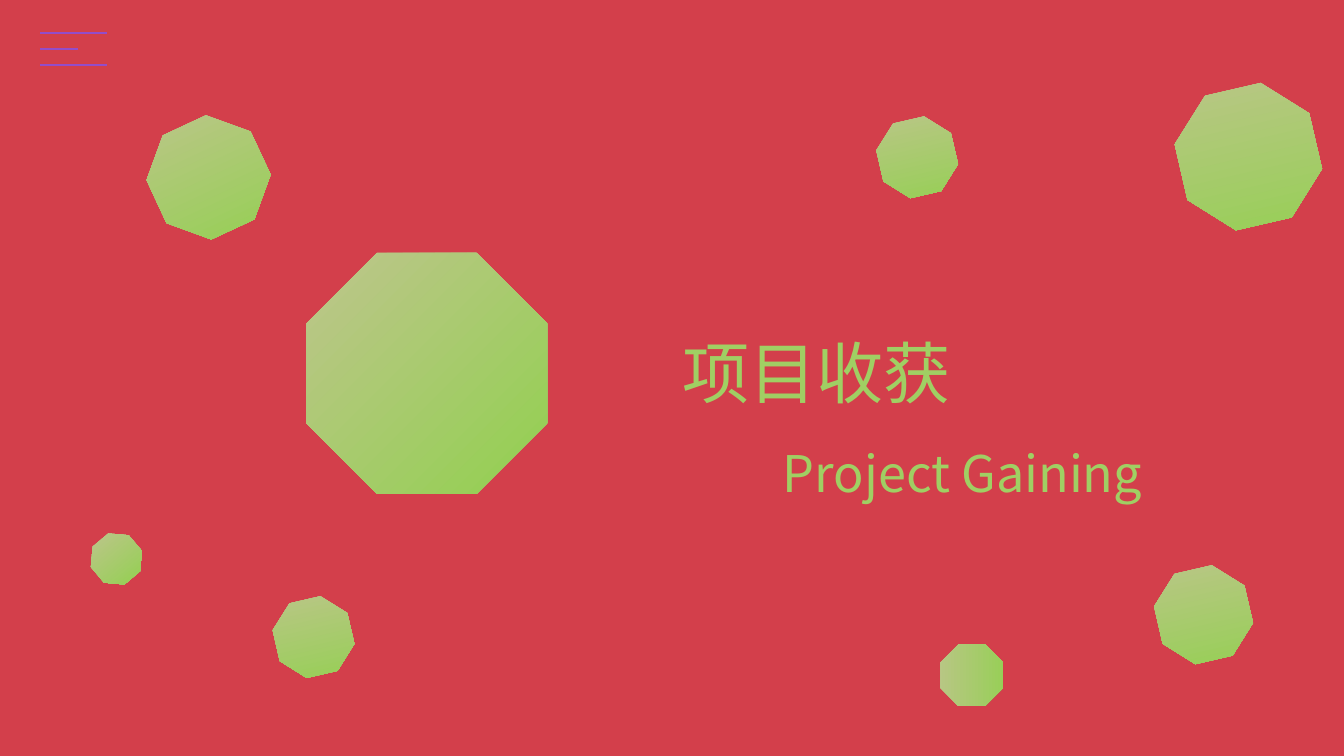
from pptx import Presentation
from pptx.dml.color import RGBColor
from pptx.enum.shapes import MSO_CONNECTOR, MSO_SHAPE
from pptx.enum.text import MSO_ANCHOR, MSO_AUTO_SIZE, PP_ALIGN
from pptx.oxml.ns import qn
from pptx.util import Pt
from lxml.etree import SubElement

FONT = "Noto Sans CJK TC"
BACKGROUND, MENU_COLOR, TEXT_COLOR = "D33F4B", "934DCA", "A0CF63"
GRADIENT = ("BEC58C", "92D050")

# left, top, size, rotation
OCTAGONS = [
    (196.6, 427.7, 54.7, 32),
    (108, 85.7, 82, 20),
    (218.9, 180.7, 172, 0),
    (842.4, 62.6, 98.6, 32),
    (627.8, 85, 54.7, 32),
    (671.8, 460, 44.6, 315),
    (826.6, 406, 66.2, 32),
    (65.5, 381.6, 35.3, 5),
]


def rgb(color):
    """Turn a hex string into a colour."""
    return RGBColor.from_string(color)


def add_menu_icon(slide, left, top, gap, lengths):
    """Draw evenly spaced menu strokes as one group."""
    menu = slide.shapes.add_group_shape()
    for row, length in enumerate(lengths):
        y = Pt(top + row * gap)
        stroke = menu.shapes.add_connector(
            MSO_CONNECTOR.STRAIGHT, Pt(left), y, Pt(left + length), y)
        stroke.line.color.rgb = rgb(MENU_COLOR)
        stroke.line.width = Pt(1.25)
        SubElement(stroke._element.spPr, qn("a:effectLst"))


def add_octagon(slide, left, top, size, rotation):
    """Add a rotated octagon with the diagonal green gradient."""
    octagon = slide.shapes.add_shape(
        MSO_SHAPE.OCTAGON, Pt(left), Pt(top), Pt(size), Pt(size))
    octagon.rotation = rotation
    octagon.shadow.inherit = False
    octagon.line.fill.background()
    octagon.fill.gradient()
    octagon.fill.gradient_angle = 315
    for stop, color, position in zip(octagon.fill.gradient_stops, GRADIENT, (0, 1)):
        stop.color.rgb = rgb(color)
        stop.position = position


def add_line_of_text(paragraph, text, size, indent=0):
    """Fill a paragraph with one run and a first-line indent."""
    paragraph.alignment = PP_ALIGN.LEFT
    paragraph.line_spacing = 1.5
    paragraph._p.get_or_add_pPr().set("indent", str(Pt(indent)))
    run = paragraph.add_run()
    run.text = text
    run.font.size = Pt(size)
    run.font.name = FONT
    run.font.color.rgb = rgb(TEXT_COLOR)
    SubElement(run._r.get_or_add_rPr(), qn("a:ea")).set("typeface", FONT)


def set_heading(slide, chinese, english):
    """Place the bilingual heading in the title placeholder."""
    heading = slide.shapes.title
    heading.left, heading.top = Pt(480), Pt(204.5)
    heading.width, heading.height = Pt(402.5), Pt(159.8)
    frame = heading.text_frame
    frame.word_wrap = True
    frame.auto_size = MSO_AUTO_SIZE.SHAPE_TO_FIT_TEXT
    frame.vertical_anchor = MSO_ANCHOR.TOP
    add_line_of_text(frame.paragraphs[0], chinese, 48)
    add_line_of_text(frame.add_paragraph(), english, 36, indent=72)


def main():
    """Build the section slide and save it."""
    deck = Presentation()
    deck.slide_width, deck.slide_height = Pt(960), Pt(540)
    slide = deck.slides.add_slide(deck.slide_layouts.get_by_name("Title Only"))
    slide.background.fill.solid()
    slide.background.fill.fore_color.rgb = rgb(BACKGROUND)
    add_menu_icon(slide, left=28.8, top=23.8, gap=11.2, lengths=(47.5, 26.6, 47.5))
    for octagon in OCTAGONS:
        add_octagon(slide, *octagon)
    set_heading(slide, "项目收获", "Project Gaining")
    deck.save("out.pptx")


main()
